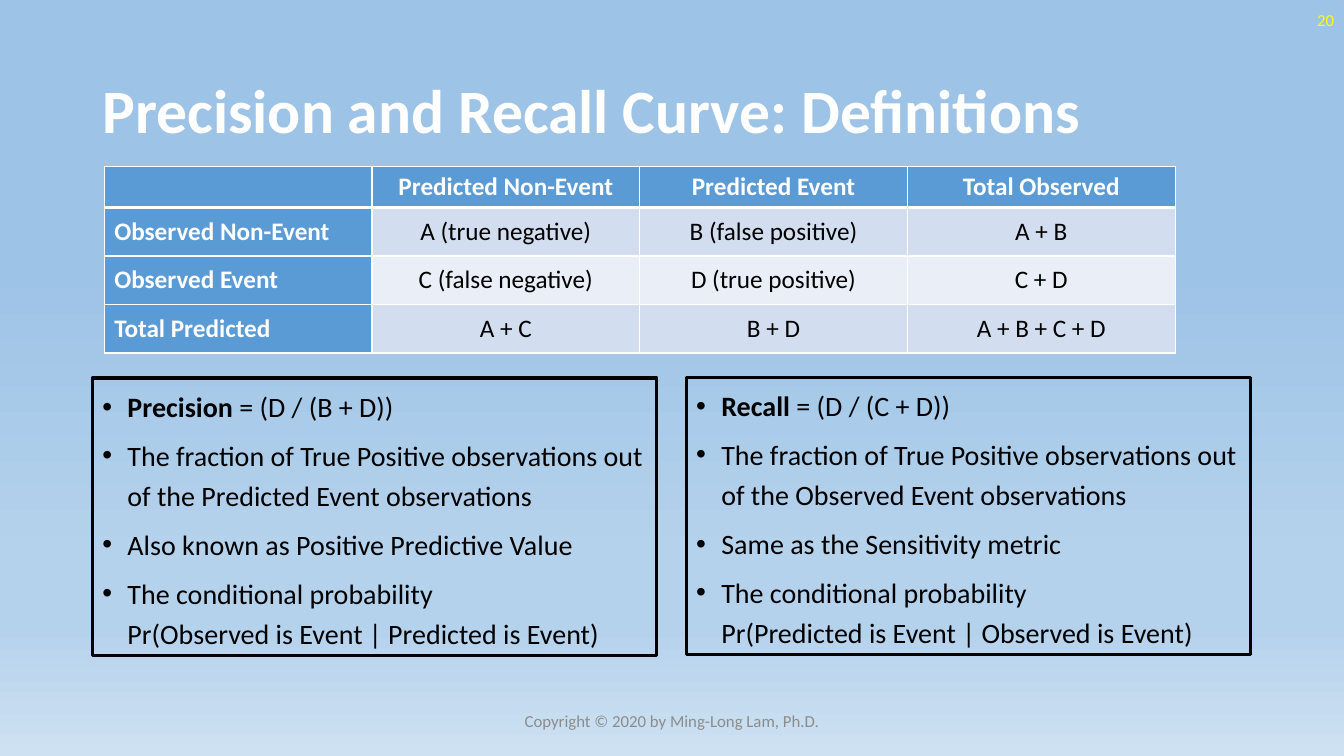
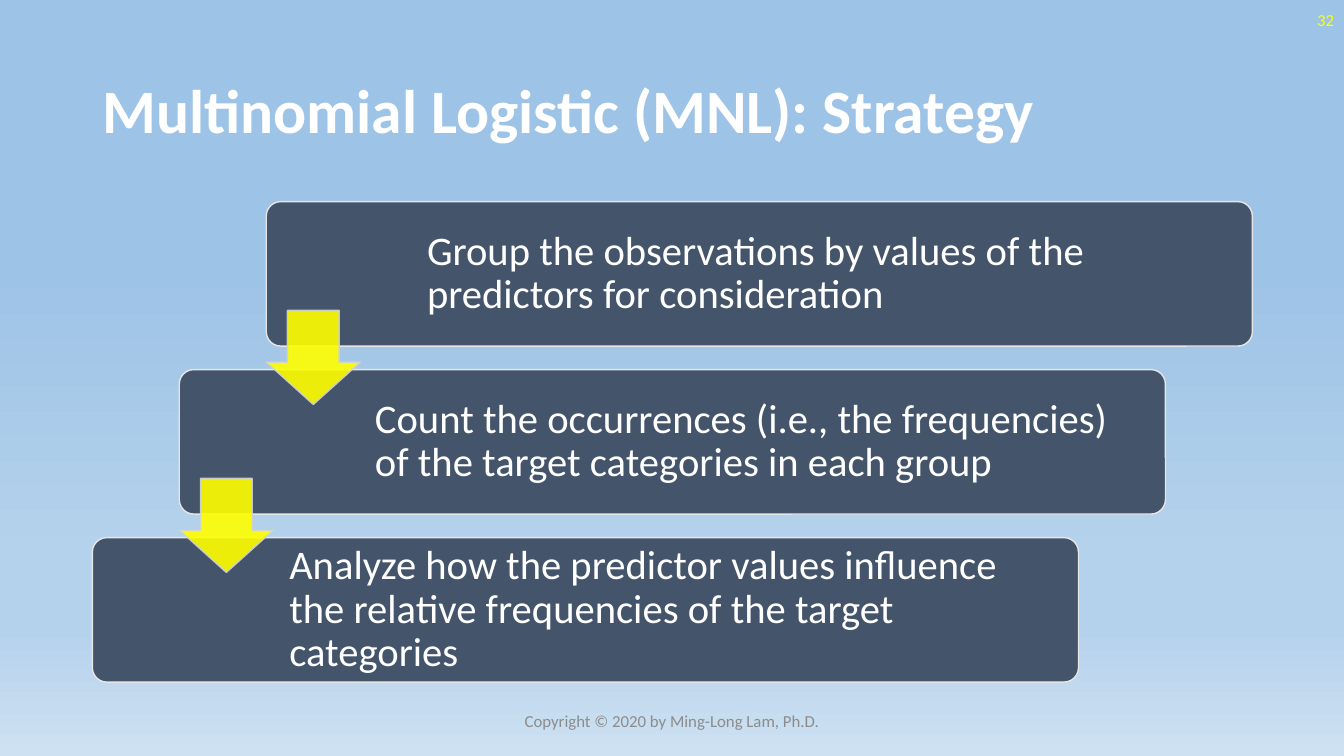
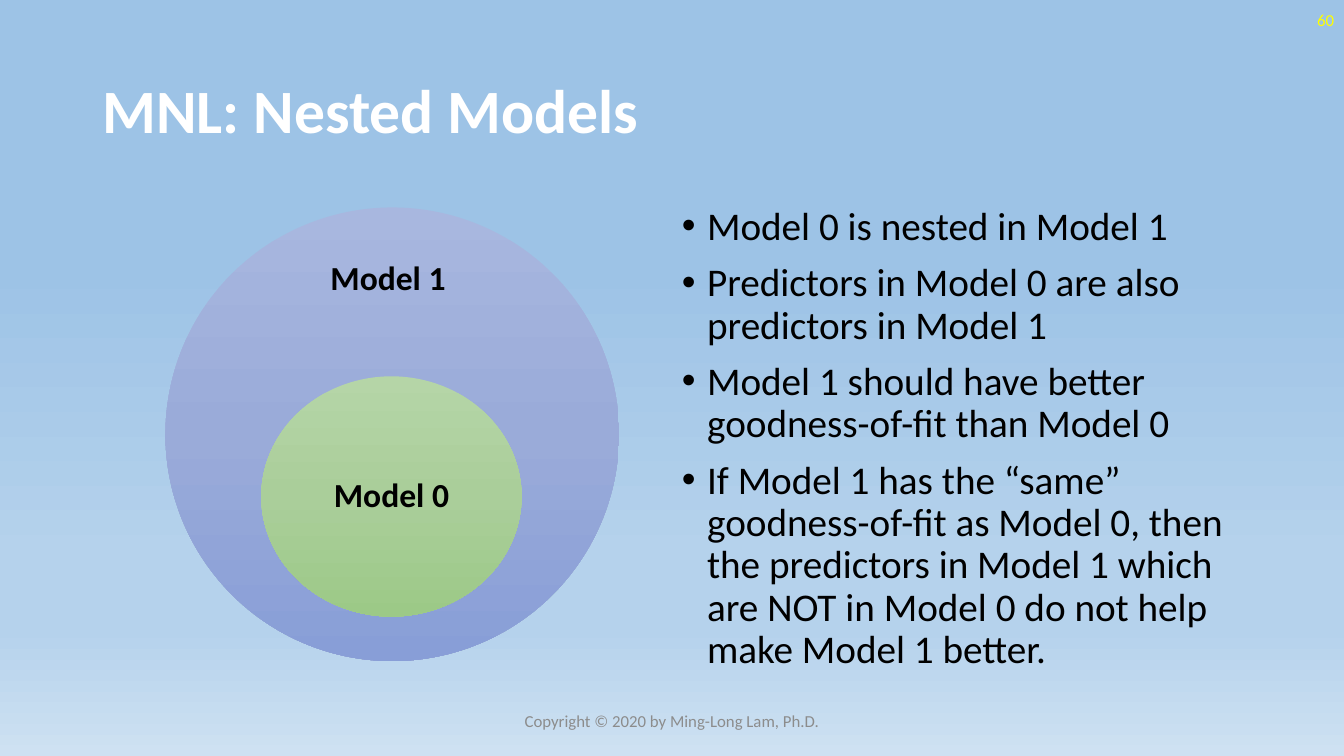
from dataclasses import dataclass

from pptx import Presentation
from pptx import util as u
from pptx.dml.color import RGBColor
from pptx.enum import shapes, text
from pptx.oxml import ns
from pptx.oxml.xmlchemy import OxmlElement

# Grid of 160 columns by 90 rows, each cell 1/12 inch square
COLUMNS, ROWS = 160, 90
CELL = u.Inches(1) // 12

FONT = "Calibri"
WHITE, BLACK, YELLOW, GREY = "FFFFFF", "000000", "FFFF00", "8C8C8C"
HEADER_BLUE, STRIPES = "5B9BD5", ("D2DEEF", "EAEFF7")
SLATE, STEP_EDGE, ARROW_EDGE = "44546A", "E7E6E6", "CFD1D4"
SKY = [(35, "9DC3E6"), (74, "B5D2EC"), (83, "B5D2EC"), (100, "CEE1F2")]
LILAC = [(0, "A8B7DF"), (50, "9AABD9"), (100, "889ED7")]
GREEN = [(0, "B5D5A7"), (50, "AACE9A"), (100, "9CC987")]
COPYRIGHT = "Copyright © 2020 by Ming-Long Lam, Ph.D."
LEFT, CENTER, RIGHT = text.PP_ALIGN.LEFT, text.PP_ALIGN.CENTER, text.PP_ALIGN.RIGHT
TOP, MIDDLE = text.MSO_ANCHOR.TOP, text.MSO_ANCHOR.MIDDLE


@dataclass(frozen=True)
class Area:
    """A rectangle in grid columns and rows."""
    left: float
    top: float
    width: float
    height: float

    def emu(self) -> list[int]:
        return [cells(n) for n in (self.left, self.top, self.width, self.height)]


@dataclass(frozen=True)
class Measure:
    name: str
    formula: str
    points: tuple[str, ...]
    area: Area


@dataclass(frozen=True)
class Step:
    wording: str
    text_left: float


@dataclass(frozen=True)
class Model:
    name: str
    circle: Area
    label: Area
    stops: list


def cells(count: float) -> int:
    return round(count * CELL)


def color(value: str) -> RGBColor:
    return RGBColor.from_string(value)


# Formatting helpers
def child(parent, tag: str, **attributes: str):
    element = OxmlElement(tag)
    for key, value in attributes.items():
        element.set(key, value)
    parent.append(element)
    return element


def add_gradient(fill, owner, stops) -> None:
    """Fill the owner element from top to bottom."""
    fill.gradient()
    fill.gradient_angle = 270
    stop_list = next(owner.iter(ns.qn("a:gsLst")))
    for old in list(stop_list):
        stop_list.remove(old)
    for percent, value in stops:
        stop = child(stop_list, "a:gs", pos=str(percent * 1000))
        child(stop, "a:srgbClr", val=value)


def write(frame, paragraphs, *, size, ink=BLACK, bold=False, align=LEFT,
          anchor=TOP, spacing=None, before=0, bullet=False, inset=None) -> None:
    """Fill a frame; a paragraph given as a pair has a bold lead."""
    frame.word_wrap = True
    frame.auto_size = text.MSO_AUTO_SIZE.NONE
    frame.vertical_anchor = anchor
    if inset is not None:
        frame.margin_left = frame.margin_right = u.Inches(inset)
        frame.margin_top = frame.margin_bottom = u.Inches(inset)
    for index, content in enumerate(paragraphs):
        paragraph = frame.add_paragraph() if index else frame.paragraphs[0]
        if bullet:
            properties = paragraph._p.get_or_add_pPr()
            properties.set("marL", str(u.Inches(0.25)))
            properties.set("indent", str(-u.Inches(0.25)))
            child(properties, "a:buFont", typeface="Arial")
            child(properties, "a:buChar", char="•")
        paragraph.alignment = align
        if spacing:
            paragraph.line_spacing = spacing
        if index:
            paragraph.space_before = u.Pt(before)
        lead, rest = content if isinstance(content, tuple) else ("", content)
        lines = [(lead, True)] if lead else []
        lines += [(line, bold) for line in rest.split("\n")]
        for number, (line, heavy) in enumerate(lines):
            if number and not lead:
                paragraph.add_line_break()
            run = paragraph.add_run()
            run.text = line
            run.font.name, run.font.size = FONT, u.Pt(size)
            run.font.bold, run.font.color.rgb = heavy, color(ink)


def add_text(slide, area: Area, *paragraphs, **formats) -> None:
    write(slide.shapes.add_textbox(*area.emu()).text_frame, paragraphs, **formats)


def add_figure(slide, kind, area: Area, fill=None, line=None, weight=1.0,
               adjust=(), opacity=100):
    figure = slide.shapes.add_shape(kind, *area.emu())
    figure.shadow.inherit = False
    for index, value in enumerate(adjust):
        figure.adjustments[index] = value
    if fill is None:
        figure.fill.background()
    elif isinstance(fill, str):
        figure.fill.solid()
        figure.fill.fore_color.rgb = color(fill)
    else:
        add_gradient(figure.fill, figure._element.spPr, fill)
    if line:
        figure.line.color.rgb = color(line)
        figure.line.width = u.Pt(weight)
    else:
        figure.line.fill.background()
    if opacity < 100:
        for tone in figure._element.spPr.iter(ns.qn("a:srgbClr")):
            child(tone, "a:alpha", val=str(opacity * 1000))
    return figure


def style_cell(cell, fill: str, bottom: float) -> None:
    properties = cell._tc.get_or_add_tcPr()
    for side, weight in (("L", 1), ("R", 1), ("T", 1), ("B", bottom)):
        edge = child(properties, f"a:ln{side}", w=str(u.Pt(weight)))
        child(child(edge, "a:solidFill"), "a:srgbClr", val=WHITE)
    cell.fill.solid()
    cell.fill.fore_color.rgb = color(fill)


# Parts shared by all slides
def start_slide(deck, title: str, number: int):
    slide = deck.slides.add_slide(deck.slide_layouts.get_by_name("Title Only"))
    heading = slide.shapes.title
    heading.left, heading.top, heading.width, heading.height = Area(11, 4.8, 138, 17.4).emu()
    write(heading.text_frame, [title], size=44, ink=WHITE, bold=True,
          anchor=MIDDLE, spacing=0.9)
    add_text(slide, Area(124, 0, 36, 4.8), str(number), size=12, ink=YELLOW,
             align=RIGHT, anchor=MIDDLE)
    add_text(slide, Area(53, 83.4, 54, 4.8), COPYRIGHT, size=12, ink=GREY,
             align=CENTER, anchor=MIDDLE)
    return slide


# Precision and recall
CONFUSION = [
    ["", "Predicted Non-Event", "Predicted Event", "Total Observed"],
    ["Observed Non-Event", "A (true negative)", "B (false positive)", "A + B"],
    ["Observed Event", "C (false negative)", "D (true positive)", "C + D"],
    ["Total Predicted", "A + C", "B + D", "A + B + C + D"],
]
MEASURES = [
    Measure("Precision ", "= (D / (B + D))", (
        "The fraction of True Positive observations out of the Predicted Event observations",
        "Also known as Positive Predictive Value",
        "The conditional probability\nPr(Observed is Event | Predicted is Event)",
    ), Area(11, 45, 67.2, 33)),
    Measure("Recall ", "= (D / (C + D))", (
        "The fraction of True Positive observations out of the Observed Event observations",
        "Same as the Sensitivity metric",
        "The conditional probability\nPr(Predicted is Event | Observed is Event)",
    ), Area(81.7, 44.9, 67.2, 33)),
]


def add_confusion_table(slide) -> None:
    column_width, header_height, row_height = 31.88, 4.9, 5.78
    area = Area(12.4, 19.8, 4 * column_width, header_height + 3 * row_height)
    table = slide.shapes.add_table(4, 4, *area.emu()).table
    for column in table.columns:
        column.width = cells(column_width)
    for r, labels in enumerate(CONFUSION):
        table.rows[r].height = cells(row_height if r else header_height)
        for c, label in enumerate(labels):
            is_header = r == 0 or c == 0
            cell = table.cell(r, c)
            style_cell(cell, HEADER_BLUE if is_header else STRIPES[(r - 1) % 2],
                       1 if r else 3)
            cell.vertical_anchor = MIDDLE
            if label:
                write(cell.text_frame, [label], size=18, bold=is_header,
                      ink=WHITE if is_header else BLACK,
                      align=CENTER if c else LEFT, anchor=MIDDLE)


def build_definitions(deck) -> None:
    slide = start_slide(deck, "Precision and Recall Curve: Definitions", 20)
    add_confusion_table(slide)
    for measure in MEASURES:
        box = add_figure(slide, shapes.MSO_SHAPE.RECTANGLE, measure.area,
                         line=BLACK, weight=2.25)
        write(box.text_frame, [(measure.name, measure.formula), *measure.points],
              size=20, spacing=1.2, before=6, bullet=True)


# Strategy steps
STEPS = [
    Step("Group the observations by values of the predictors for consideration", 49.4),
    Step("Count the occurrences (i.e., the frequencies) of the target categories in each group",
         43.2),
    Step("Analyze how the predictor values influence the relative frequencies "
         "of the target categories", 33),
]


def build_strategy(deck) -> None:
    slide = start_slide(deck, "Multinomial Logistic (MNL): Strategy", 32)
    bars = [Area(31.7 - 10.35 * i, 24 + 20 * i, 117.4, 17.2) for i in range(len(STEPS))]
    for step, bar in zip(STEPS, bars):
        add_figure(slide, shapes.MSO_SHAPE.ROUNDED_RECTANGLE, bar, SLATE, STEP_EDGE,
                   adjust=[0.1])
        text_width = bar.left + bar.width - 0.6 - step.text_left
        add_text(slide, Area(step.text_left, bar.top + 0.5, text_width, bar.height - 1),
                 step.wording, size=29, ink=WHITE, anchor=MIDDLE, spacing=0.9, inset=0.12)
    for bar in bars[:-1]:
        add_figure(slide, shapes.MSO_SHAPE.DOWN_ARROW,
                   Area(bar.left, bar.top + 12.95, 11.2, 11.2), YELLOW, ARROW_EDGE,
                   adjust=[0.55, 0.45], opacity=90)


# Nested models
MODELS = [
    Model("Model 1 ", Area(19.7, 24.7, 54, 54), Area(32.5, 28.7, 28.3, 9.1), LILAC),
    Model("Model 0", Area(31.1, 44.8, 31, 28.6), Area(35.6, 52, 22, 14.3), GREEN),
]
NESTING = [
    "Model 0 is nested in Model 1",
    "Predictors in Model 0 are also predictors in Model 1",
    "Model 1 should have better goodness-of-fit than Model 0",
    "If Model 1 has the “same” goodness-of-fit as Model 0, then the predictors in Model 1 "
    "which are NOT in Model 0 do not help make Model 1 better.",
]


def build_nesting(deck) -> None:
    slide = start_slide(deck, "MNL: Nested Models", 60)
    for model in MODELS:
        add_figure(slide, shapes.MSO_SHAPE.OVAL, model.circle, model.stops)
        add_text(slide, model.label, model.name, size=24, bold=True, align=CENTER,
                 anchor=MIDDLE, spacing=0.9, inset=0.19)
    add_text(slide, Area(80, 24, 69, 57.1), *NESTING, size=28, spacing=0.9,
             before=10, bullet=True)


def main() -> None:
    deck = Presentation()
    deck.slide_width, deck.slide_height = cells(COLUMNS), cells(ROWS)
    master = deck.slide_master
    add_gradient(master.background.fill, master._element, SKY)
    build_definitions(deck)
    build_strategy(deck)
    build_nesting(deck)
    deck.save("out.pptx")


if __name__ == "__main__":
    main()
